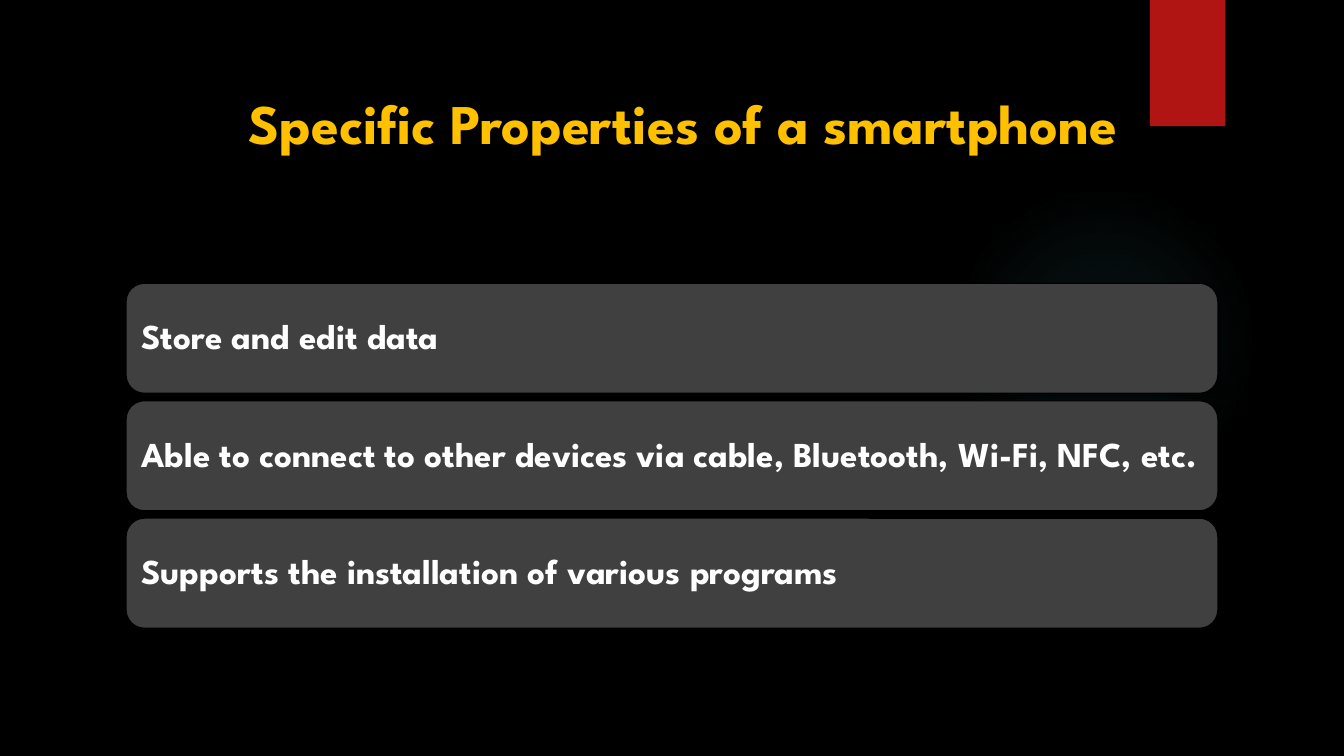
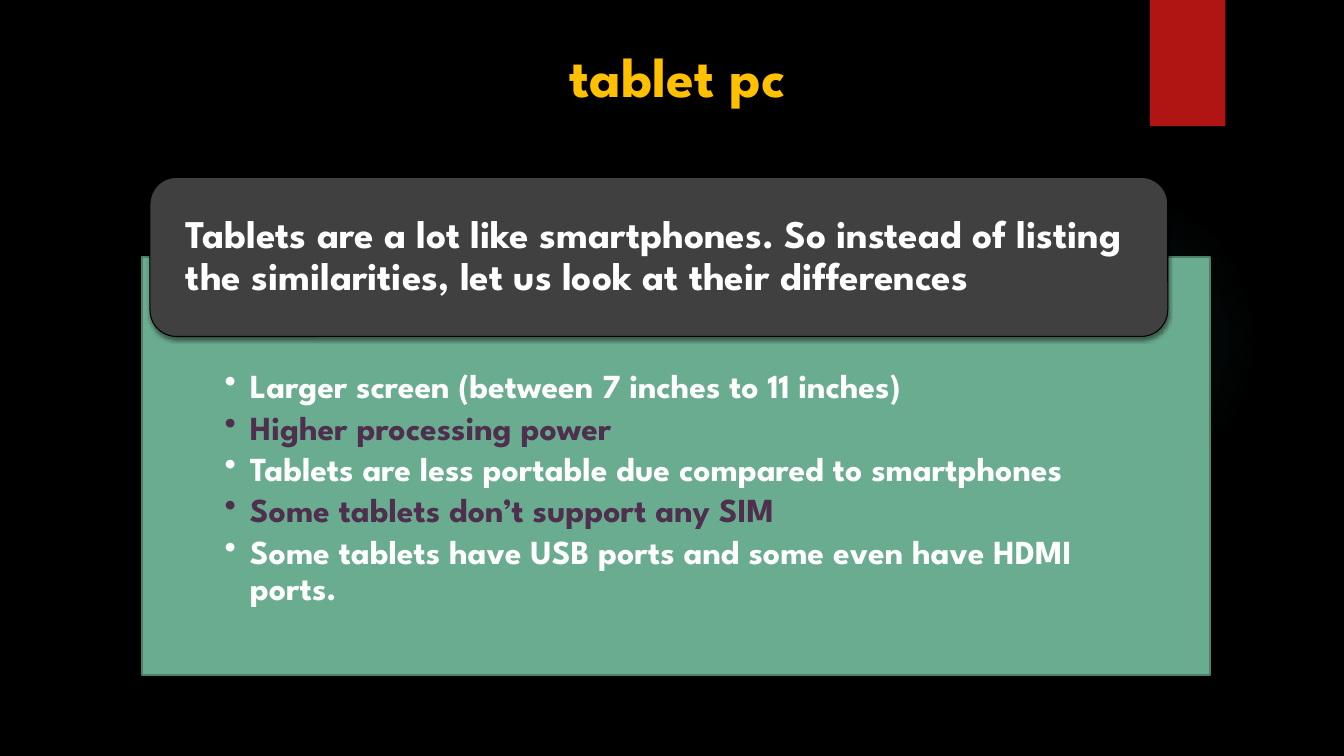
from pptx import Presentation
from pptx.dml.color import RGBColor
from pptx.enum.shapes import MSO_SHAPE as Preset
from pptx.enum.text import MSO_ANCHOR as Anchor, PP_ALIGN as Align
from pptx.oxml import parse_xml
from pptx.oxml.ns import nsdecls, qn
from pptx.util import Cm, Pt

FONT = "League Spartan"
COLORS = {
    "background": "000000",
    "ribbon": "B01513",
    "glow": "50B9C1",
    "title": "FFC000",
    "card": "404040",
    "panel": "6AAC90",
    "panel_line": "4E7F6B",
    "text": "FFFFFF",
    "accent_text": "4F2F4E",
}
GLOW_STOPS = [(0, 7), (36, 6), (69, 0)]

CARD_LEFT, CARD_TOP, CARD_WIDTH, CARD_HEIGHT = 3.18, 7.14, 27.51, 2.77
CARD_PITCH = 2.96

PROPERTIES = [
    "Store and edit data",
    "Able to connect to other devices via cable, Bluetooth, Wi-Fi, NFC, etc.",
    "Supports the installation of various programs",
]
INTRODUCTION = (
    "Tablets are a lot like smartphones. So instead of listing "
    "the similarities, let us look at their differences"
)
DIFFERENCES = [
    "Larger screen (between 7 inches to 11 inches)",
    "Higher processing power",
    "Tablets are less portable due compared to smartphones",
    "Some tablets don’t support any SIM",
    "Some tablets have USB ports and some even have HDMI ports.",
]


def color(name):
    return RGBColor.from_string(COLORS[name])


def style_font(paragraph, size, color_name):
    font = paragraph.font
    font.name = FONT
    font.size = Pt(size)
    font.bold = True
    font.color.rgb = color(color_name)


def set_margins(frame, left, top, right, bottom):
    frame.margin_left, frame.margin_top = Cm(left), Cm(top)
    frame.margin_right, frame.margin_bottom = Cm(right), Cm(bottom)


def add_shape(slide, preset, box, fill, line=None, line_width=0.75):
    shape = slide.shapes.add_shape(preset, *map(Cm, box))
    shape.shadow.inherit = False
    shape.fill.solid()
    shape.fill.fore_color.rgb = color(fill)
    if line:
        shape.line.color.rgb = color(line)
        shape.line.width = Pt(line_width)
    else:
        shape.line.fill.background()
    return shape


def add_shadow(shape):
    effects = shape._element.spPr.find(qn("a:effectLst"))
    effects.append(parse_xml(
        f'<a:outerShdw {nsdecls("a")} blurRad="{Pt(3)}" dist="{Pt(2)}" '
        'dir="5400000" rotWithShape="0"><a:srgbClr val="000000">'
        '<a:alpha val="45000"/></a:srgbClr></a:outerShdw>'
    ))


def add_glow(slide):
    glow = add_shape(slide, Preset.OVAL, (23.9, 4.65, 7.82, 7.82), "glow")
    stops = "".join(
        f'<a:gs pos="{position * 1000}"><a:srgbClr val="{COLORS["glow"]}">'
        f'<a:alpha val="{alpha * 1000}"/></a:srgbClr></a:gs>'
        for position, alpha in GLOW_STOPS
    )
    gradient = parse_xml(
        f'<a:gradFill {nsdecls("a")}><a:gsLst>{stops}</a:gsLst>'
        '<a:path path="circle"><a:fillToRect l="50000" t="50000" '
        'r="50000" b="50000"/></a:path></a:gradFill>'
    )
    properties = glow._element.spPr
    properties.replace(properties.find(qn("a:solidFill")), gradient)


def add_title(slide, text, box):
    frame = slide.shapes.add_textbox(*map(Cm, box)).text_frame
    frame.word_wrap = True
    paragraph = frame.paragraphs[0]
    paragraph.text = text
    paragraph.alignment = Align.CENTER
    style_font(paragraph, 40, "title")


def add_slide(presentation, title, title_box):
    slide = presentation.slides.add_slide(presentation.slide_layouts[6])
    add_glow(slide)
    add_shadow(add_shape(slide, Preset.RECTANGLE, (28.98, 0, 1.9, 3.18), "ribbon"))
    add_title(slide, title, title_box)
    return slide


def add_card(slide, text, box, size, margins):
    card = add_shape(slide, Preset.ROUNDED_RECTANGLE, box, "card", "background")
    add_shadow(card)
    frame = card.text_frame
    frame.word_wrap = True
    frame.vertical_anchor = Anchor.MIDDLE
    set_margins(frame, *margins)
    paragraph = frame.paragraphs[0]
    paragraph.text = text
    paragraph.alignment = Align.LEFT
    paragraph.line_spacing = 0.9
    style_font(paragraph, size, "text")


def add_bullet(paragraph):
    properties = paragraph._p.get_or_add_pPr()
    properties.set("marL", str(Cm(0.64)))
    properties.set("indent", str(-Cm(0.64)))
    properties.append(parse_xml(f'<a:buChar {nsdecls("a")} char="•"/>'))


def add_bullet_panel(slide, items, box):
    panel = add_shape(slide, Preset.RECTANGLE, box, "panel", "panel_line", 1.5)
    frame = panel.text_frame
    frame.word_wrap = True
    frame.vertical_anchor = Anchor.TOP
    set_margins(frame, 2.08, 2.84, 2.08, 0.48)
    for index, item in enumerate(items):
        paragraph = frame.add_paragraph() if index else frame.paragraphs[0]
        paragraph.text = item
        add_bullet(paragraph)
        paragraph.alignment = Align.LEFT
        paragraph.line_spacing = 0.9
        paragraph.space_after = Pt(3.6)
        style_font(paragraph, 24, "accent_text" if index % 2 else "text")


def build_smartphone_slide(presentation):
    slide = add_slide(
        presentation, "Specific Properties of a smartphone", (3.18, 2.11, 28.07, 2.9)
    )
    for index, text in enumerate(PROPERTIES):
        box = (CARD_LEFT, CARD_TOP + index * CARD_PITCH, CARD_WIDTH, CARD_HEIGHT)
        add_card(slide, text, box, 25, (0.25, 0.25, 0.25, 0.25))


def build_tablet_slide(presentation):
    slide = add_slide(presentation, "tablet pc", (12.17, 0.91, 9.8, 3.12))
    add_bullet_panel(slide, DIFFERENCES, (3.58, 6.48, 26.92, 10.52))
    add_card(slide, INTRODUCTION, (3.78, 4.47, 25.65, 4.01), 28, (0.71, 0, 0.71, 0))


def main():
    presentation = Presentation()
    presentation.slide_width = Cm(33.87)
    presentation.slide_height = Cm(19.05)
    background = presentation.slide_master.background.fill
    background.solid()
    background.fore_color.rgb = color("background")
    build_smartphone_slide(presentation)
    build_tablet_slide(presentation)
    presentation.save("out.pptx")


if __name__ == "__main__":
    main()
